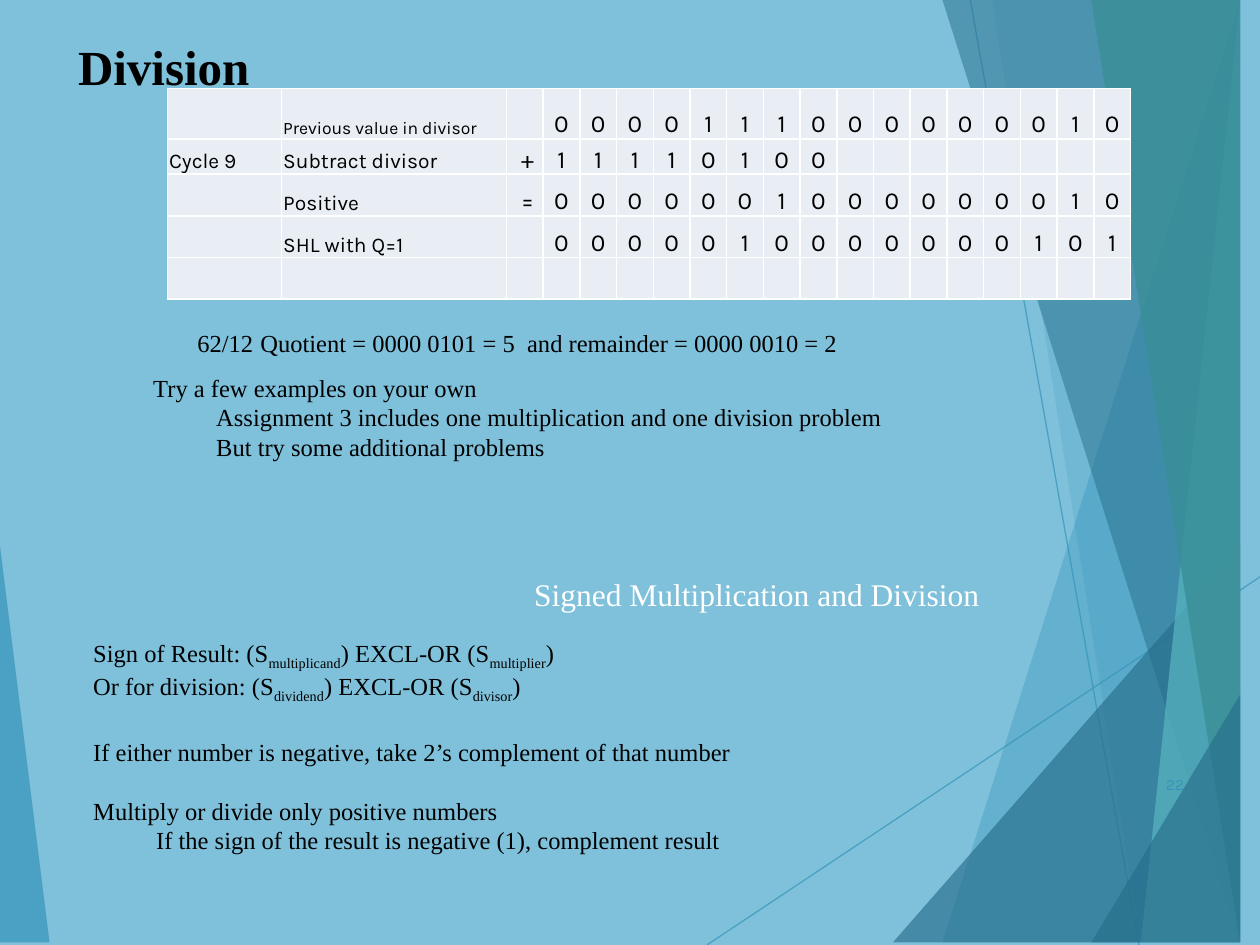
from dataclasses import dataclass

from lxml.etree import SubElement
from pptx import Presentation
from pptx.dml.color import RGBColor
from pptx.enum.shapes import MSO_CONNECTOR as Connector
from pptx.enum.text import MSO_ANCHOR as Anchor, MSO_AUTO_SIZE as AutoSize, PP_ALIGN as Align
from pptx.oxml.ns import qn
from pptx.util import Cm, Pt

SERIF, SANS = "Times New Roman", "Karla"
BLUE, NAVY, AQUA, TEAL = "3494BA", "276F8B", "58B6C0", "3A8F98"
SKY, PALE, WHITE, BLACK = "7FC1DB", "E8EEF3", "FFFFFF", "000000"
TAB = 1.27
LEADING = 1.2
BLANK_LINE = 16.8


@dataclass
class Shard:
    points: list
    color: str
    opacity: int


@dataclass
class Ray:
    start: tuple
    end: tuple


@dataclass
class Line:
    """A paragraph; every second span is a subscript."""
    spans: list
    size: int = 14
    color: str = BLACK
    indent: float = 0
    before: float = 0
    after: float = 0


@dataclass
class Note:
    place: tuple
    lines: list


@dataclass
class Step:
    height: float
    cycle: str
    label: str
    sign: str
    bits: str
    label_size: int = 12


BACK_SHARD = Shard([(-0.03, 11.15), (1.24, 19.08), (-0.03, 19.05)], BLUE, 70)
RAYS = [Ray((14.25, 19.05), (25.43, 11.61)), Ray((19.56, 0), (22.96, 19.05))]
SHARDS = [
    Shard([(24.77, 0), (19.15, 19.05), (25.45, 19.08), (25.43, 0.03)], BLUE, 36),
    Shard([(20.02, -0.03), (23.34, 19.05), (25.43, 19.05), (25.43, -0.03)], BLUE, 20),
    Shard([(18.44, 19.05), (25.4, 10.9), (25.43, 19.05)], NAVY, 66),
    Shard([(19.48, -0.03), (24.64, 19.05), (25.43, 19.02), (25.43, -0.03)], NAVY, 50),
    Shard([(24.92, -0.03), (23.04, 19.05), (25.43, 19.05), (25.4, -0.03)], AQUA, 70),
    Shard([(22.48, -0.03), (25.1, 19.05), (25.45, 19.05), (25.4, -0.03)], TEAL, 82),
    Shard([(22.4, 19.05), (25.45, 13.59), (25.45, 19.02)], NAVY, 66),
]
STEPS = [
    Step(1.02, "", "Previous value in divisor", "", "0000111000000010", 10),
    Step(0.71, "Cycle 9", "Subtract divisor", " +", "11110100"),
    Step(0.84, "", "Positive", " =", "0000001000000010"),
    Step(0.84, "", "SHL with Q=1", "", "0000010000000101"),
    Step(0.84, "", "", "", ""),
]
NOTES = [
    Note((3.73, 6.48, 19.38, 0.86), [
        Line(["62/12\tQuotient = 0000 0101 = 5  and remainder = 0000 0010 = 2"])]),
    Note((2.84, 7.39, 20.52, 2.06), [
        Line(["Try a few examples on your own"]),
        Line(["Assignment 3 includes one multiplication and one division problem"], indent=TAB),
        Line(["But try some additional problems"], indent=TAB)]),
    Note((1.63, 11.46, 22.12, 5.82), [
        Line(["Signed Multiplication and Division"], 18, WHITE, 7 * TAB),
        Line(["Sign of Result: (S", "multiplicand", ") EXCL-OR (S", "multiplier", ")"],
             before=BLANK_LINE, after=2),
        Line(["Or for division: (S", "dividend", ") EXCL-OR (S", "divisor", ")"], after=2),
        Line(["If either number is negative, take 2’s complement of that number"],
             before=BLANK_LINE),
        Line(["Multiply or divide only positive numbers"], before=BLANK_LINE),
        Line(["If the sign of the result is negative (1), complement result"], indent=TAB)]),
]


def rgb(color: str) -> RGBColor:
    return RGBColor.from_string(color)


def apply(target, formats: dict) -> None:
    for name, value in formats.items():
        setattr(target, name, value)


def set_font(font, size: float, color: str = BLACK, name: str = SERIF, bold: bool = False) -> None:
    apply(font, {"size": Pt(size), "name": name, "bold": bold})
    font.color.rgb = rgb(color)


def set_opacity(shape, percent: int) -> None:
    for color in shape.element.spPr.iter(qn("a:srgbClr")):
        SubElement(color, qn("a:alpha"), val=str(percent * 1000))


def draw_shard(page, shard: Shard) -> None:
    builder = page.shapes.build_freeform(*shard.points[0], scale=Cm(1))
    builder.add_line_segments(shard.points[1:], close=True)
    shape = builder.convert_to_shape()
    shape.shadow.inherit = False
    shape.fill.solid()
    shape.fill.fore_color.rgb = rgb(shard.color)
    shape.line.fill.background()
    set_opacity(shape, shard.opacity)


def draw_ray(page, ray: Ray) -> None:
    ends = [Cm(value) for value in ray.start + ray.end]
    line = page.shapes.add_connector(Connector.STRAIGHT, *ends)
    line.line.width = Pt(0.75)
    line.line.color.rgb = rgb(BLUE)
    set_opacity(line, 70)
    SubElement(line.element.spPr, qn("a:effectLst"))


def draw_title(page, text: str) -> None:
    title = page.shapes.title
    apply(title, {"left": Cm(1.32), "top": Cm(0.48), "width": Cm(22.94), "height": Cm(1.22)})
    frame = title.text_frame
    apply(frame, {"auto_size": AutoSize.NONE, "vertical_anchor": Anchor.TOP,
                  "margin_top": Cm(0.25), "margin_bottom": 0})
    frame.text = text
    para = frame.paragraphs[0]
    para.alignment = Align.LEFT
    set_font(para.runs[0].font, 28, bold=True)
    title.element.getparent().append(title.element)


def fill_cell(cell, text: str, size: int, align) -> None:
    apply(cell, {"margin_left": Cm(0.03), "margin_right": Cm(0.03), "margin_top": Cm(0.03),
                 "margin_bottom": 0, "vertical_anchor": Anchor.BOTTOM})
    para = cell.text_frame.paragraphs[0]
    para.alignment = align
    if text:
        span = para.add_run()
        span.text = text
        set_font(span.font, size, name=SANS)
    else:
        SubElement(para._p, qn("a:endParaRPr"), sz=str(size * 100))
    properties = cell._tc.get_or_add_tcPr()
    for side in ("lnL", "lnR", "lnT", "lnB"):
        border = SubElement(properties, qn(f"a:{side}"), w=str(Pt(1)))
        SubElement(SubElement(border, qn("a:solidFill")), qn("a:srgbClr"), val=WHITE)
    cell.fill.solid()
    cell.fill.fore_color.rgb = rgb(PALE)


def draw_steps(page, steps: list) -> None:
    widths = [2.3, 4.53] + [0.74] * 17
    table = page.shapes.add_table(len(steps), len(widths), Cm(3.38), Cm(1.78),
                                  Cm(sum(widths)), Cm(sum(s.height for s in steps))).table
    apply(table, {"first_row": False, "horz_banding": False})
    for column, width in zip(table.columns, widths):
        column.width = Cm(width)
    for row, step in zip(table.rows, steps):
        row.height = Cm(step.height)
        texts = [step.cycle, step.label, step.sign, *step.bits.ljust(16)]
        for index, (cell, text) in enumerate(zip(row.cells, texts)):
            is_label = index < 2
            fill_cell(cell, text if text != " " else "", step.label_size if is_label else 14,
                      Align.LEFT if is_label else Align.CENTER)


def draw_note(page, note: Note) -> None:
    frame = page.shapes.add_textbox(*map(Cm, note.place)).text_frame
    frame.word_wrap = True
    for number, line in enumerate(note.lines):
        para = frame.add_paragraph() if number else frame.paragraphs[0]
        apply(para, {"line_spacing": Pt(line.size * LEADING),
                     "space_before": Pt(line.before), "space_after": Pt(line.after)})
        properties = para._p.get_or_add_pPr()
        properties.set("marL", str(Cm(line.indent)))
        properties.set("defTabSz", str(Cm(TAB)))
        for index, text in enumerate(line.spans):
            span = para.add_run()
            span.text = text
            set_font(span.font, line.size, line.color)
            if index % 2:
                span.font._rPr.set("baseline", "-25000")


def draw_page_number(page, number: int) -> None:
    frame = page.shapes.add_textbox(Cm(22.6), Cm(15.35), Cm(1.52), Cm(0.9)).text_frame
    apply(frame, {"word_wrap": True, "vertical_anchor": Anchor.MIDDLE})
    para = frame.paragraphs[0]
    para.alignment = Align.RIGHT
    para.text = str(number)
    set_font(para.runs[0].font, 9, BLUE, SANS)


def main() -> None:
    deck = Presentation()
    apply(deck, {"slide_width": Cm(25.4), "slide_height": Cm(19.05)})
    page = deck.slides.add_slide(deck.slide_layouts[5])
    page.background.fill.solid()
    page.background.fill.fore_color.rgb = rgb(SKY)
    draw_shard(page, BACK_SHARD)
    for ray in RAYS:
        draw_ray(page, ray)
    for shard in SHARDS:
        draw_shard(page, shard)
    draw_title(page, "Division")
    draw_steps(page, STEPS)
    for note in NOTES:
        draw_note(page, note)
    draw_page_number(page, 22)
    deck.save("out.pptx")


if __name__ == "__main__":
    main()
